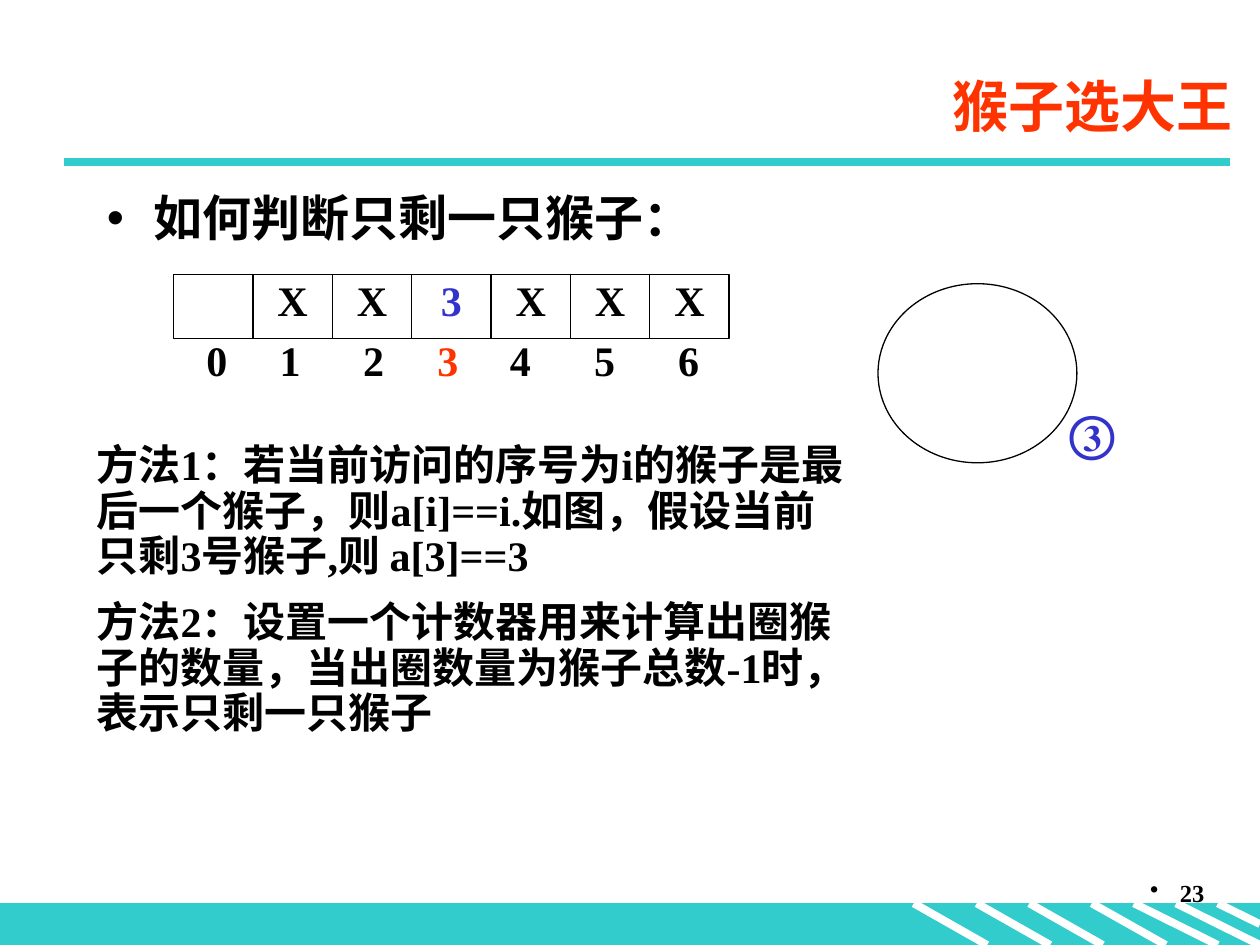
"""Build the slide on detecting the last remaining monkey in the circle."""
from typing import NamedTuple, Optional

from lxml import etree
from pptx import Presentation
from pptx.dml.color import RGBColor
from pptx.enum import shapes, text
from pptx.oxml import ns
from pptx.util import Cm, Pt

COLORS = {"teal": "33CCCC", "white": "FFFFFF", "black": "000000",
          "red": "FF3300", "blue": "3333CC"}
LATIN, CJK = "Times New Roman", "Noto Sans CJK SC"


class Box(NamedTuple):
    left: float
    top: float
    width: float
    height: float


class Stroke(NamedTuple):
    x1: float
    y1: float
    x2: float
    y2: float
    color: str = "white"


class Cell(NamedTuple):
    mark: str
    color: str = "black"


BAND_TOP, SLIDE_W, SLIDE_H = 18.21, 25.4, 19.05
STRIPES = [Stroke(x1, BAND_TOP, x2, SLIDE_H) for x1, x2 in (
    (19.69, 21.17), (18.42, 19.9), (20.75, 22.23),
    (23.71, 25.4), (22.86, 24.55), (22.01, 23.5))]
STRIPES.append(Stroke(24.55, BAND_TOP, SLIDE_W, 18.63))
TITLE_RULE = Stroke(1.3, 3.27, 24.8, 3.27, "teal")
CELLS = [Cell(""), Cell("X"), Cell("X"), Cell("3", "blue"),
         Cell("X"), Cell("X"), Cell("X")]
CELL_LEFT, CELL_TOP, CELL_W, CELL_H = 3.5, 5.53, 1.6, 1.3
INDEX_STOPS = [0.62, 2.1, 3.78, 5.28, 6.74, 8.44, 10.13]
METHODS = [
    "方法1：若当前访问的序号为i的猴子是最后一个猴子，则a[i]==i.如图，假设当前只剩3号猴子,则 a[3]==3",
    "方法2：设置一个计数器用来计算出圈猴子的数量，当出圈数量为猴子总数-1时，表示只剩一只猴子",
]


def rgb(name: str) -> RGBColor:
    """Look up a palette colour."""
    return RGBColor.from_string(COLORS[name])


def lengths(box: Box) -> list:
    """Convert a box in centimetres to slide lengths."""
    return [Cm(value) for value in box]


def style(paragraph, size: int, color: str = "black", latin: str = LATIN,
          asian: Optional[str] = None, align=text.PP_ALIGN.LEFT,
          spacing: float = 1.0) -> None:
    """Format a paragraph and all its runs."""
    paragraph.alignment = align
    paragraph.line_spacing = spacing
    for run in paragraph.runs:
        run.font.size, run.font.bold, run.font.name = Pt(size), True, latin
        run.font.color.rgb = rgb(color)
        if asian:
            ea = etree.SubElement(run.font._element, ns.qn("a:ea"))
            ea.set("typeface", asian)


def set_bullet(paragraph, margin: float, hang: float) -> None:
    """Give a paragraph a round bullet with a hanging indent."""
    props = paragraph._p.get_or_add_pPr()
    props.set("marL", str(Cm(margin)))
    props.set("indent", str(-Cm(hang)))
    etree.SubElement(props, ns.qn("a:buChar")).set("char", "•")


def set_centre_tabs(paragraph, stops: list) -> None:
    """Add centred tab stops to a paragraph."""
    tabs = etree.SubElement(paragraph._p.get_or_add_pPr(), ns.qn("a:tabLst"))
    for stop in stops:
        tab = etree.SubElement(tabs, ns.qn("a:tab"))
        tab.set("pos", str(Cm(stop)))
        tab.set("algn", "ctr")


def add_stroke(slide, stroke: Stroke) -> None:
    """Draw a thick straight line."""
    line = slide.shapes.add_connector(
        shapes.MSO_CONNECTOR.STRAIGHT, Cm(stroke.x1), Cm(stroke.y1),
        Cm(stroke.x2), Cm(stroke.y2))
    line.line.color.rgb, line.line.width = rgb(stroke.color), Pt(4.5)
    etree.SubElement(line._element.spPr, ns.qn("a:effectLst"))


def add_outline(slide, kind, box: Box, line: str = "black",
                fill: Optional[str] = None):
    """Draw a preset shape with a thin line and optional fill."""
    shape = slide.shapes.add_shape(kind, *lengths(box))
    shape.shadow.inherit = False
    shape.line.color.rgb, shape.line.width = rgb(line), Pt(0.75)
    if fill:
        shape.fill.solid()
        shape.fill.fore_color.rgb = rgb(fill)
    else:
        shape.fill.background()
    return shape


def add_text(slide, box: Box, content: str, wrap: bool = True):
    """Add a text box and return its text frame."""
    frame = slide.shapes.add_textbox(*lengths(box)).text_frame
    frame.word_wrap = wrap
    frame.text = content
    return frame


def fill_placeholder(placeholder, box: Box, content: str, anchor):
    """Move a placeholder, set its text and return the paragraph."""
    (placeholder.left, placeholder.top,
     placeholder.width, placeholder.height) = lengths(box)
    frame = placeholder.text_frame
    frame.text = content
    frame.vertical_anchor = anchor
    frame.auto_size = text.MSO_AUTO_SIZE.NONE
    return frame.paragraphs[0]


def add_array(slide) -> None:
    """Draw the array cells with their indices below."""
    for index, cell in enumerate(CELLS):
        box = Box(CELL_LEFT + index * CELL_W, CELL_TOP, CELL_W, CELL_H)
        shape = add_outline(slide, shapes.MSO_SHAPE.RECTANGLE, box)
        if cell.mark:
            frame = shape.text_frame
            frame.text = cell.mark
            frame.vertical_anchor = text.MSO_ANCHOR.TOP
            style(frame.paragraphs[0], 24, cell.color,
                  align=text.PP_ALIGN.CENTER, spacing=0.9)

    indices = add_text(slide, Box(CELL_LEFT, 6.73, 11.6, 1.27), "").paragraphs[0]
    for index in range(len(CELLS)):
        indices.add_run().text = f"\t{index}"
    style(indices, 24, spacing=0.9)
    indices.runs[3].font.color.rgb = rgb("red")
    set_centre_tabs(indices, INDEX_STOPS)


def main() -> None:
    """Build and save the slide."""
    deck = Presentation()
    deck.slide_width, deck.slide_height = Cm(SLIDE_W), Cm(SLIDE_H)
    slide = deck.slides.add_slide(deck.slide_layouts[1])

    add_outline(slide, shapes.MSO_SHAPE.RECTANGLE,
                Box(0, BAND_TOP, SLIDE_W, SLIDE_H - BAND_TOP), "teal", "teal")
    for stroke in [*STRIPES, TITLE_RULE]:
        add_stroke(slide, stroke)

    page = add_text(slide, Box(19.25, 17.58, 5.28, 1.27), "23").paragraphs[0]
    style(page, 14, align=text.PP_ALIGN.RIGHT)
    set_bullet(page, 0.6, 0.6)

    title = fill_placeholder(slide.shapes.title, Box(3.5, 1.12, 21.6, 2),
                             "猴子选大王", text.MSO_ANCHOR.MIDDLE)
    style(title, 32, "red", CJK, CJK, text.PP_ALIGN.RIGHT)
    question = fill_placeholder(slide.placeholders[1], Box(1.9, 3.66, 21.6, 12.8),
                                "如何判断只剩一只猴子：", text.MSO_ANCHOR.TOP)
    style(question, 28, asian=CJK)
    set_bullet(question, 0.95, 0.95)

    methods = add_text(slide, Box(1.7, 8.84, 15.6, 9.35), "\n".join(METHODS))
    for method in methods.paragraphs:
        style(method, 24, asian=CJK, spacing=0.9)
    methods.paragraphs[1].space_before = Pt(12)

    add_outline(slide, shapes.MSO_SHAPE.OVAL, Box(17.7, 5.72, 4.01, 3.61))
    survivor = add_text(slide, Box(21.31, 8.13, 1.5, 1.45), "③", wrap=False)
    style(survivor.paragraphs[0], 28, "blue", spacing=0.9)
    add_array(slide)

    deck.save("out.pptx")


if __name__ == "__main__":
    main()
